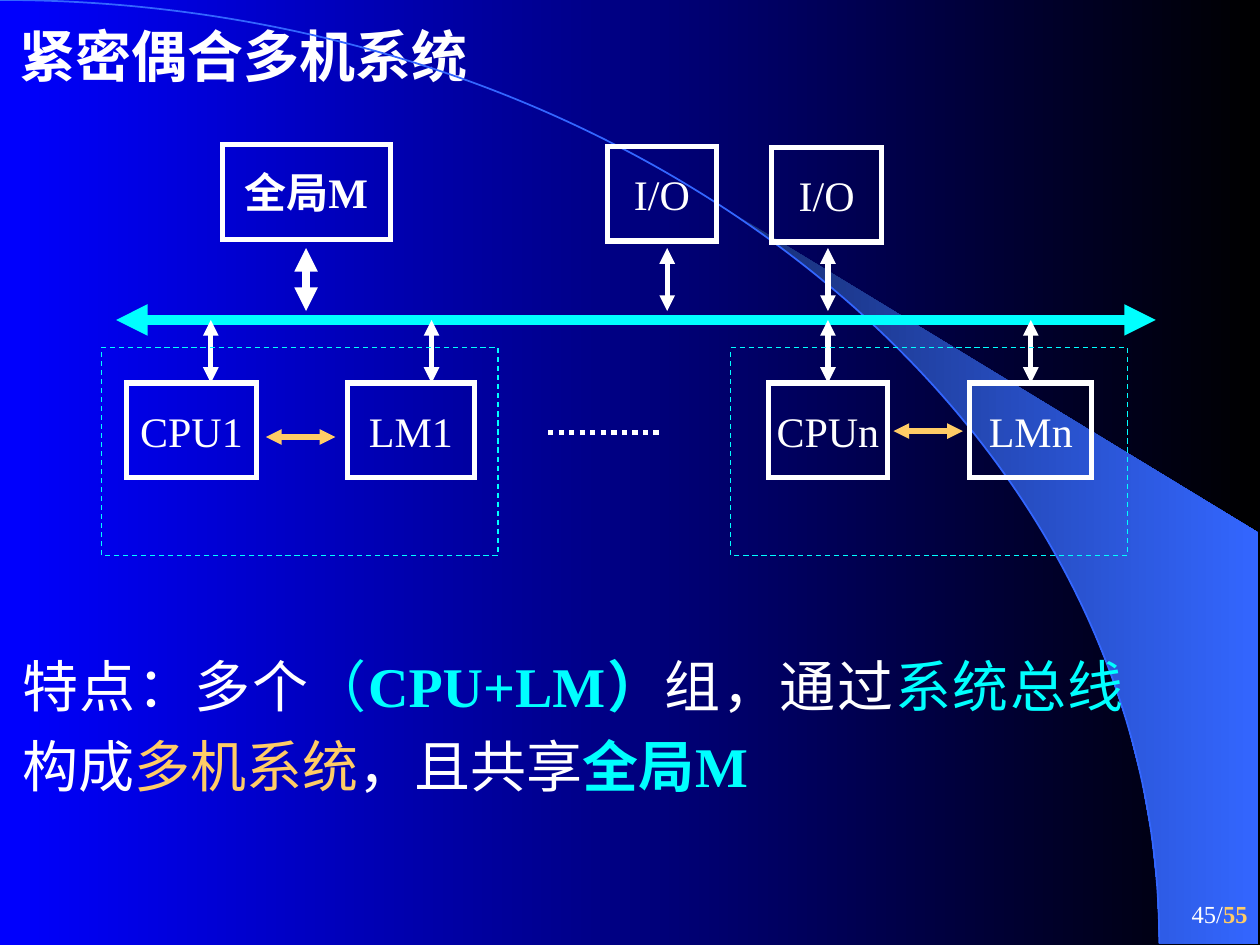
"""Build the slide on a tightly coupled multiprocessor system."""
import math

import lxml.etree
import pptx
import pptx.dml.color
import pptx.enum.dml
import pptx.enum.shapes
import pptx.enum.text
import pptx.oxml.ns
import pptx.util

Cm = pptx.util.Cm
Pt = pptx.util.Pt
RGBColor = pptx.dml.color.RGBColor
qn = pptx.oxml.ns.qn
ALIGN = pptx.enum.text.PP_ALIGN
ANCHOR = pptx.enum.text.MSO_ANCHOR
DASH = pptx.enum.dml.MSO_LINE
RECTANGLE = pptx.enum.shapes.MSO_SHAPE.RECTANGLE
STRAIGHT = pptx.enum.shapes.MSO_CONNECTOR.STRAIGHT

WHITE = RGBColor(0xFF, 0xFF, 0xFF)
BLACK = RGBColor(0x00, 0x00, 0x00)
CYAN = RGBColor(0x00, 0xFF, 0xFF)
GOLD = RGBColor(0xFF, 0xCC, 0x66)
BLUE = RGBColor(0x00, 0x00, 0xFF)
NAVY = RGBColor(0x18, 0x2F, 0x76)
SKY = RGBColor(0x33, 0x66, 0xFF)
FONT = "Times New Roman"


def add_runs(paragraph, size, runs):
    for text, color, bold in runs:
        run = paragraph.add_run()
        run.text = text
        run.font.name = FONT
        run.font.size = Pt(size)
        run.font.bold = bold
        run.font.color.rgb = color


def add_link(x1, y1, x2, y2, color, width, arrows=True):
    link = slide.shapes.add_connector(STRAIGHT, Cm(x1), Cm(y1), Cm(x2), Cm(y2))
    link.line.color.rgb = color
    link.line.width = Pt(width)
    properties = link._element.spPr
    lxml.etree.SubElement(properties, qn("a:effectLst"))
    if arrows:
        for end in ("a:headEnd", "a:tailEnd"):
            lxml.etree.SubElement(properties.find(qn("a:ln")), qn(end), type="triangle")
    return link


presentation = pptx.Presentation()
presentation.slide_width = Cm(25.4)
presentation.slide_height = Cm(19.05)
slide = presentation.slides.add_slide(presentation.slide_layouts[5])

backdrop = slide.background.fill
backdrop.gradient()
backdrop.gradient_angle = 0
for stop, color in zip(backdrop.gradient_stops, (BLUE, BLACK)):
    stop.color.rgb = color

ARC_WIDTH, ARC_HEIGHT = Cm(23.37), Cm(19.02)
beam_points = []
for step in range(16):
    angle = math.radians(39.75 + step * 3.35)
    beam_points.append((ARC_WIDTH * math.sin(angle), ARC_HEIGHT * (1 - math.cos(angle))))
beam_points += [(Cm(25.37), Cm(19.02)), (Cm(25.37), Cm(10.74))]
beam_builder = slide.shapes.build_freeform(*beam_points[0])
beam_builder.add_line_segments(beam_points[1:], close=True)
beam = beam_builder.convert_to_shape()
beam.shadow.inherit = False
beam.line.fill.background()
beam.fill.gradient()
beam.fill.gradient_angle = 0
for stop, color in zip(beam.fill.gradient_stops, (NAVY, SKY)):
    stop.color.rgb = color

horizon_builder = slide.shapes.build_freeform(0, 0)
horizon_builder.add_line_segments([(ARC_WIDTH, ARC_HEIGHT)], close=False)
horizon = horizon_builder.convert_to_shape()
horizon.shadow.inherit = False
horizon.fill.background()
horizon.line.color.rgb = SKY
horizon.line.width = Pt(1)
chord = next(horizon._element.iter(qn("a:lnTo")))
curve = lxml.etree.Element(qn("a:cubicBezTo"))
for x, y in ((0.55, 0), (1, 0.45), (1, 1)):
    lxml.etree.SubElement(curve, qn("a:pt"), x=str(int(ARC_WIDTH * x)), y=str(int(ARC_HEIGHT * y)))
chord.getparent().replace(chord, curve)

UNIT_TOP, UNIT_HEIGHT = 7.72, 1.91
units = {}
for label, left, top, width, bold in (
    ("CPU1", 2.55, UNIT_TOP, 2.62, False),
    ("LM1", 7, UNIT_TOP, 2.57, False),
    ("全局M", 4.48, 2.92, 3.39, True),
    ("CPUn", 15.49, UNIT_TOP, 2.4, False),
    ("LMn", 19.55, UNIT_TOP, 2.46, False),
    ("I/O", 12.24, 2.95, 2.21, False),
    ("I/O", 15.56, 2.97, 2.21, False),
):
    unit = slide.shapes.add_shape(RECTANGLE, Cm(left), Cm(top), Cm(width), Cm(UNIT_HEIGHT))
    unit.shadow.inherit = False
    unit.fill.background()
    unit.line.color.rgb = WHITE
    unit.line.width = Pt(3)
    lxml.etree.SubElement(unit._element.spPr.find(qn("a:ln")), qn("a:miter"), lim="800000")
    unit.text_frame.word_wrap = False
    unit.text_frame.vertical_anchor = ANCHOR.MIDDLE
    unit.text_frame.paragraphs[0].alignment = ALIGN.CENTER
    add_runs(unit.text_frame.paragraphs[0], 24, [(label, WHITE, bold)])
    units[label] = unit

BUS_Y = 6.45
add_link(2.34, BUS_Y, 23.3, BUS_Y, CYAN, 6)
for x, width in ((6.17, 4.5), (13.45, 3), (16.69, 3)):
    add_link(x, 5, x, 6.27, WHITE, width)
for x in (4.25, 8.7):
    add_link(x, BUS_Y, x, UNIT_TOP, WHITE, 3)
for x, label in ((16.69, "CPUn"), (20.78, "LMn")):
    add_link(x, BUS_Y, x, UNIT_TOP, WHITE, 3).end_connect(units[label], 0)
for x, y in ((5.36, 8.81), (18.01, 8.69)):
    add_link(x, y, x + 1.4, y, GOLD, 3)
ellipsis = add_link(11.05, 8.72, 13.36, 8.72, WHITE, 3, arrows=False)
ellipsis.line.dash_style = DASH.ROUND_DOT

for left in (2.04, 14.73):
    group = slide.shapes.add_shape(RECTANGLE, Cm(left), Cm(7.01), Cm(8), Cm(4.19))
    group.shadow.inherit = False
    group.fill.background()
    group.line.color.rgb = CYAN
    group.line.width = Pt(0.75)
    group.line.dash_style = DASH.DASH

title = slide.shapes.title
title.left, title.top, title.width, title.height = Cm(0.14), Cm(0.3), Cm(9.55), Cm(1.63)
title.text_frame.auto_size = pptx.enum.text.MSO_AUTO_SIZE.NONE
title.text_frame.word_wrap = False
title.text_frame.margin_right = 0
title.text_frame.vertical_anchor = ANCHOR.TOP
title.text_frame.paragraphs[0].alignment = ALIGN.LEFT
add_runs(title.text_frame.paragraphs[0], 32, [("紧密偶合多机系统", WHITE, True)])

features = slide.shapes.add_textbox(Cm(0.2), Cm(12.73), Cm(22.71), Cm(3.51))
features.text_frame.word_wrap = True
feature_text = features.text_frame.paragraphs[0]
feature_text.alignment = ALIGN.JUSTIFY
feature_text.line_spacing = 1.2
add_runs(feature_text, 32, [
    ("特点：多个", WHITE, False),
    ("（", CYAN, False),
    ("CPU+LM）", CYAN, True),
    ("组，通过", WHITE, False),
    ("系统总线", CYAN, False),
    ("构成", WHITE, False),
    ("多机系统", GOLD, False),
    ("，且共享", WHITE, False),
    ("全局M", CYAN, True),
])

page = slide.shapes.add_textbox(Cm(20.12), Cm(17.78), Cm(5.28), Cm(1.27))
page.text_frame.word_wrap = True
page.text_frame.vertical_anchor = ANCHOR.MIDDLE
page.text_frame.paragraphs[0].alignment = ALIGN.RIGHT
add_runs(page.text_frame.paragraphs[0], 14, [("45/", WHITE, False), ("55", GOLD, True)])

presentation.save("out.pptx")
